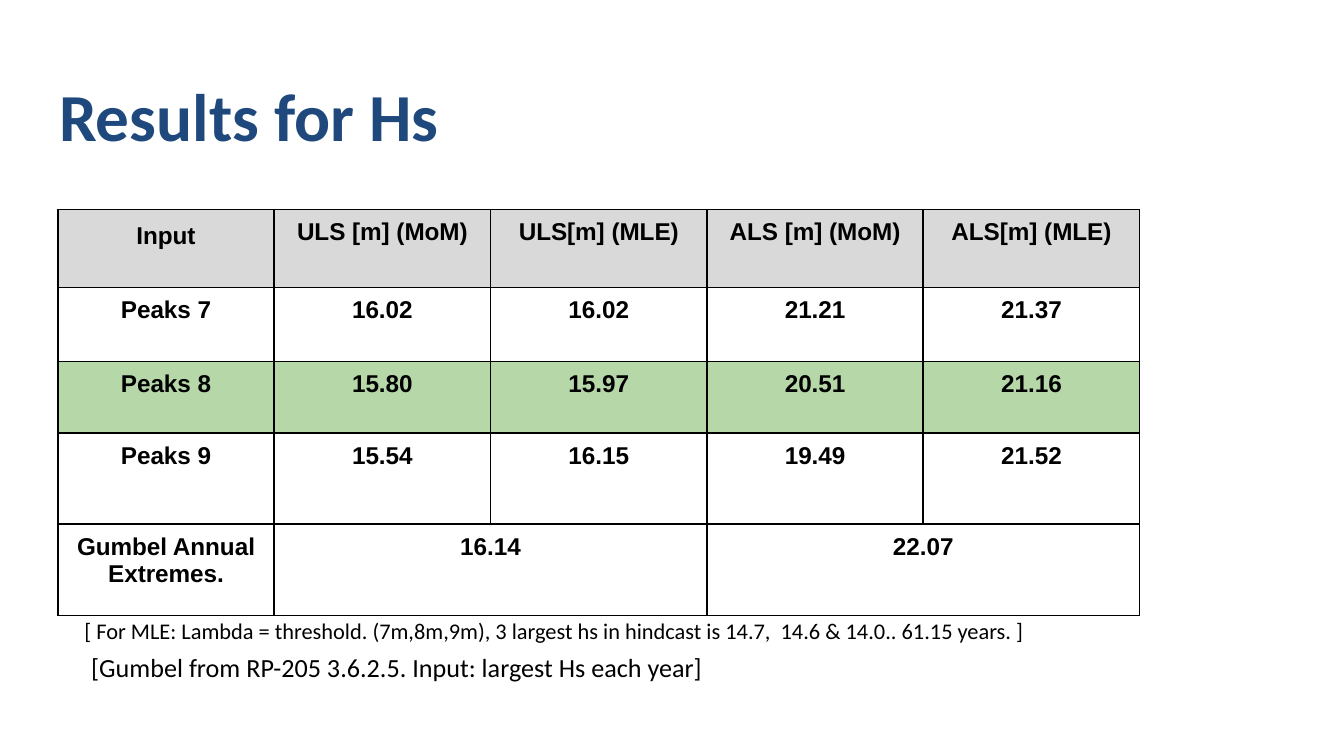
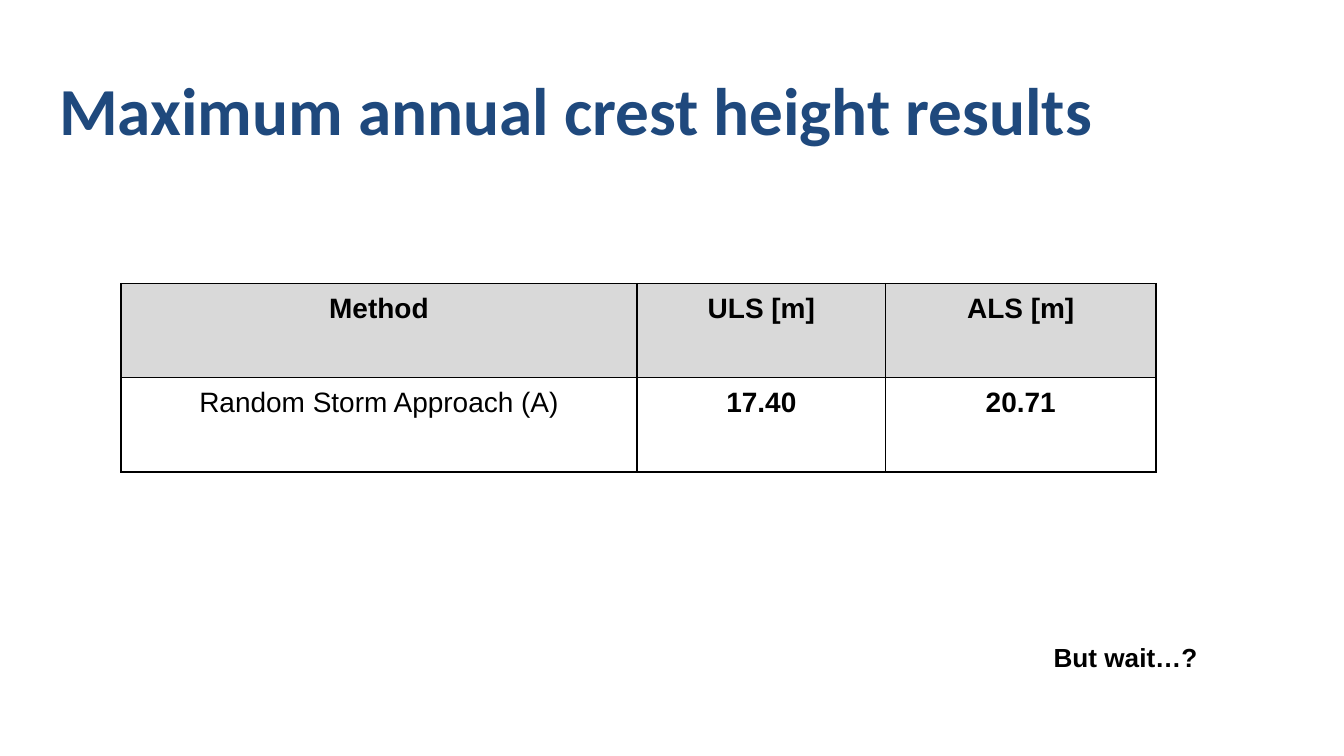
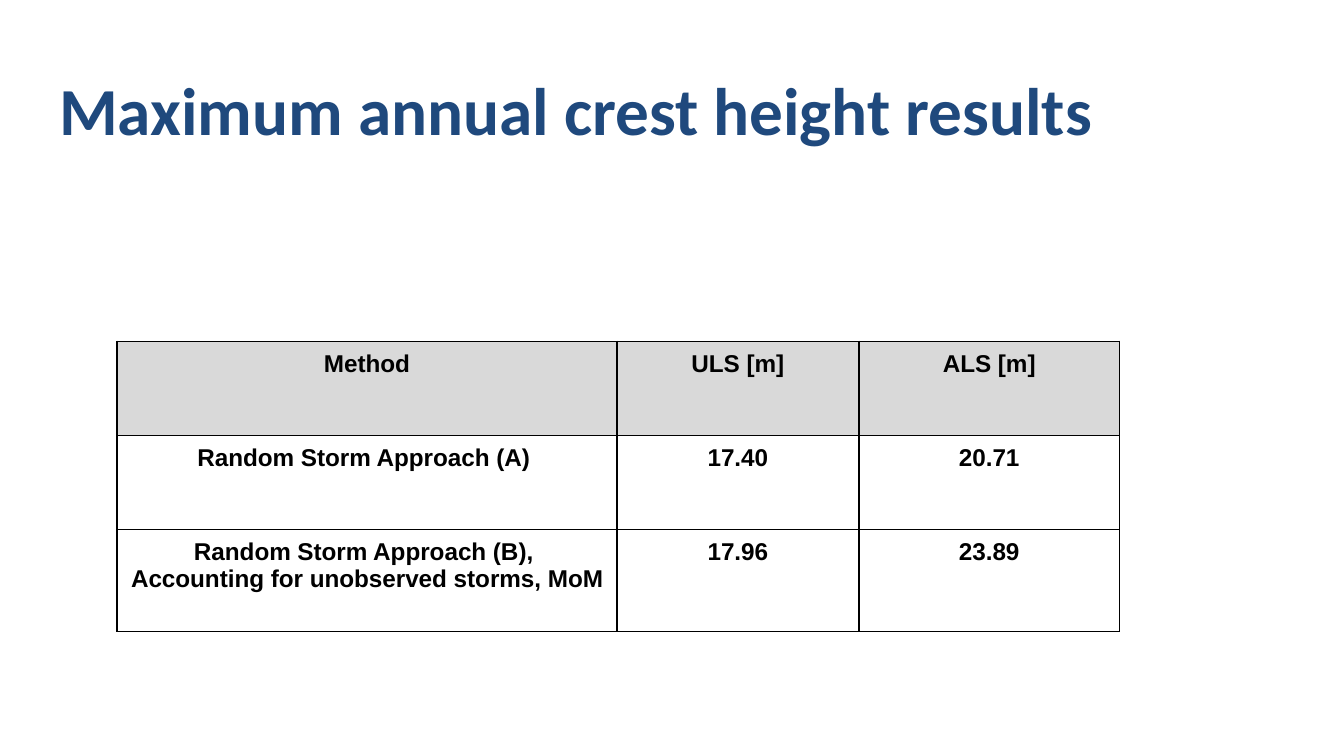
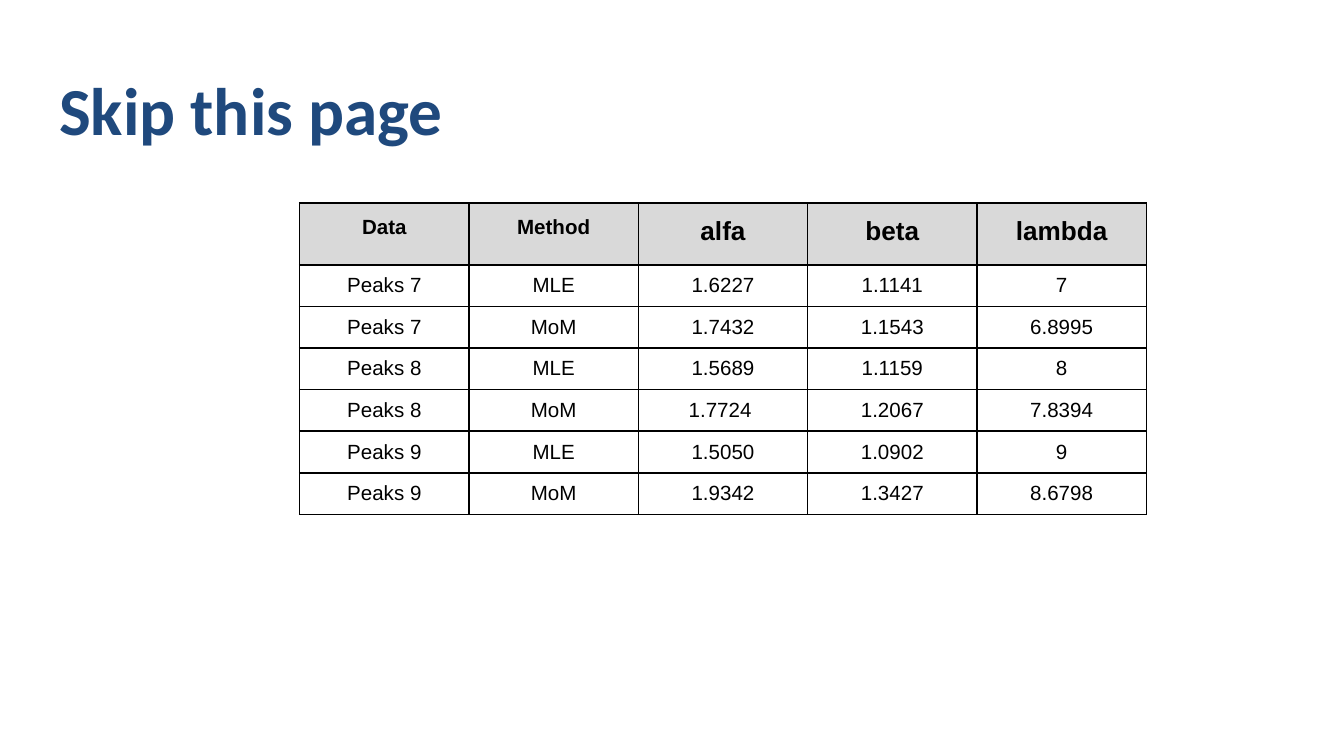
from dataclasses import dataclass

from lxml import etree
from pptx import Presentation
from pptx.dml.color import RGBColor
from pptx.enum.text import MSO_ANCHOR, MSO_AUTO_SIZE, PP_ALIGN
from pptx.oxml.ns import qn
from pptx.util import Inches, Pt

LEFT, CENTER = PP_ALIGN.LEFT, PP_ALIGN.CENTER
MIDDLE = MSO_ANCHOR.MIDDLE
NO_AUTOFIT = MSO_AUTO_SIZE.NONE
TITLE_ONLY = 5


@dataclass(frozen=True)
class Theme:
    title_color: str = "1F497D"
    ink: str = "000000"
    header_fill: str = "D9D9D9"
    highlight_fill: str = "B6D7A8"
    heading_font: str = "Calibri"
    table_font: str = "Arial"
    title_size: float = 36
    large: float = 15
    medium: float = 14
    regular: float = 13
    note: float = 12
    small: float = 11
    border: float = 1
    cell_margin: float = 0.07
    text_margin: float = 0.1
    header_spacing: float = 1.15


THEME = Theme()


def set_font(p, name, size, color=THEME.ink, bold=False):
    p.font.name = name
    p.font.size = Pt(size)
    p.font.bold = bold
    p.font.color.rgb = RGBColor.from_string(color)


def set_margins(target, x, y):
    target.margin_left = target.margin_right = Inches(x)
    target.margin_top = target.margin_bottom = Inches(y)


def add_titled_slide(prs, title, top=0.49):
    s = prs.slides.add_slide(prs.slide_layouts[TITLE_ONLY])
    sp = s.shapes.title
    sp.left, sp.top = Inches(0.34), Inches(top)
    sp.width, sp.height = Inches(9.32), Inches(0.63)
    tf = sp.text_frame
    tf.text = title
    tf.word_wrap = True
    tf.auto_size = NO_AUTOFIT
    tf.vertical_anchor = MIDDLE
    set_margins(tf, THEME.text_margin, 0.05)
    p = tf.paragraphs[0]
    p.alignment = LEFT
    set_font(p, THEME.heading_font, THEME.title_size, THEME.title_color, True)
    return s


def add_note(s, box, text, size, font=THEME.heading_font, bold=False):
    tf = s.shapes.add_textbox(*map(Inches, box)).text_frame
    tf.word_wrap = True
    set_margins(tf, THEME.text_margin, THEME.text_margin)
    tf.text = text
    set_font(tf.paragraphs[0], font, size, bold=bold)


def set_borders(cell):
    tc_pr = cell._tc.get_or_add_tcPr()
    for i, side in enumerate(("lnL", "lnR", "lnT", "lnB")):
        ln = etree.Element(qn(f"a:{side}"), w=str(Pt(THEME.border)))
        fill = etree.SubElement(ln, qn("a:solidFill"))
        etree.SubElement(fill, qn("a:srgbClr"), val=THEME.ink)
        tc_pr.insert(i, ln)


def style_cell(cell, size, bold=True, spacing=None):
    for p in cell.text_frame.paragraphs:
        p.alignment = CENTER
        set_font(p, THEME.table_font, size, bold=bold)
        if spacing:
            p.line_spacing = spacing


def add_table(s, left, top, col_widths, row_heights, data, size, highlight=None):
    frame = s.shapes.add_table(
        len(row_heights), len(col_widths), Inches(left), Inches(top),
        Inches(sum(col_widths)), Inches(sum(row_heights)))
    table = frame.table
    for col, width in zip(table.columns, col_widths):
        col.width = Inches(width)
    for row, height in zip(table.rows, row_heights):
        row.height = Inches(height)
    fills = {0: THEME.header_fill, highlight: THEME.highlight_fill}
    for r, values in enumerate(data):
        for c, value in enumerate(values):
            cell = table.cell(r, c)
            cell.text = value
            set_margins(cell, THEME.cell_margin, THEME.cell_margin)
            if r in fills:
                cell.fill.solid()
                cell.fill.fore_color.rgb = RGBColor.from_string(fills[r])
            else:
                cell.fill.background()
            style_cell(cell, size)
            set_borders(cell)
    return table


def build_hs_results(prs):
    s = add_titled_slide(prs, "Results for Hs", top=0.54)
    data = [
        ("Input", "ULS [m] (MoM)", "ULS[m] (MLE)", "ALS [m] (MoM)", "ALS[m] (MLE)"),
        ("Peaks 7", "16.02", "16.02", "21.21", "21.37"),
        ("Peaks 8", "15.80", "15.97", "20.51", "21.16"),
        ("Peaks 9", "15.54", "16.15", "19.49", "21.52"),
        ("Gumbel Annual Extremes.", "16.14", "", "22.07", ""),
    ]
    table = add_table(s, 0.43, 1.56, [1.61] * 5, [0.58, 0.55, 0.53, 0.68, 0.68],
                      data, THEME.regular, highlight=2)
    style_cell(table.cell(0, 0), THEME.regular, spacing=THEME.header_spacing)
    for c in (1, 3):
        table.cell(4, c).merge(table.cell(4, c + 1))
    add_note(s, (0.53, 4.49, 7.58, 0.63),
             "[ For MLE: Lambda = threshold. (7m,8m,9m), 3 largest hs in hindcast "
             "is 14.7,  14.6 & 14.0.. 61.15 years. ]", THEME.note)
    add_note(s, (0.58, 4.75, 7.48, 0.87),
             "[Gumbel from RP-205 3.6.2.5. Input: largest Hs each year]", THEME.medium)


CREST_TITLE = "Maximum annual crest height results"
CREST_HEADER = ("Method", "ULS [m]", "ALS [m]")


def build_crest_first(prs):
    s = add_titled_slide(prs, CREST_TITLE)
    data = [CREST_HEADER, ("Random Storm Approach (A)", "17.40", "20.71")]
    table = add_table(s, 0.9, 2.11, [3.84, 1.85, 2.01], [0.7] * 2,
                      data, THEME.large)
    style_cell(table.cell(1, 0), THEME.large, bold=False)
    add_note(s, (7.74, 4.67, 3.08, 0.63), "But wait…?", THEME.medium,
             THEME.table_font, bold=True)


def build_crest_comparison(prs):
    s = add_titled_slide(prs, CREST_TITLE)
    data = [
        CREST_HEADER,
        ("Random Storm Approach (A) ", "17.40", "20.71"),
        ("Random Storm Approach (B), \nAccounting for unobserved storms, MoM",
         "17.96", "23.89"),
    ]
    add_table(s, 0.87, 2.54, [3.72, 1.8, 1.94], [0.7, 0.7, 0.76],
              data, THEME.regular)


def build_parameters(prs):
    s = add_titled_slide(prs, "Skip this page")
    data = [
        ("Data", "Method", "alfa", "beta", "lambda"),
        ("Peaks 7", "MLE", "1.6227", "1.1141", "7"),
        ("Peaks 7", "MoM", "1.7432", "1.1543", "6.8995"),
        ("Peaks 8", "MLE", "1.5689", "1.1159", "8"),
        ("Peaks 8", "MoM", "1.7724 ", "1.2067", "7.8394"),
        ("Peaks 9", "MLE", "1.5050", "1.0902", "9"),
        ("Peaks 9", "MoM", "1.9342", "1.3427", "8.6798"),
    ]
    table = add_table(s, 2.23, 1.51, [1.26] * 5, [0.46] + [0.31] * 6,
                      data, THEME.small)
    for c in range(5):
        size = THEME.small if c < 2 else THEME.medium
        style_cell(table.cell(0, c), size, spacing=THEME.header_spacing)
        for r in range(1, len(data)):
            style_cell(table.cell(r, c), THEME.small, bold=False)


def main():
    prs = Presentation()
    prs.slide_width = Inches(10)
    prs.slide_height = prs.slide_width * 9 // 16
    build_hs_results(prs)
    build_crest_first(prs)
    build_crest_comparison(prs)
    build_parameters(prs)
    prs.save("out.pptx")


if __name__ == "__main__":
    main()
